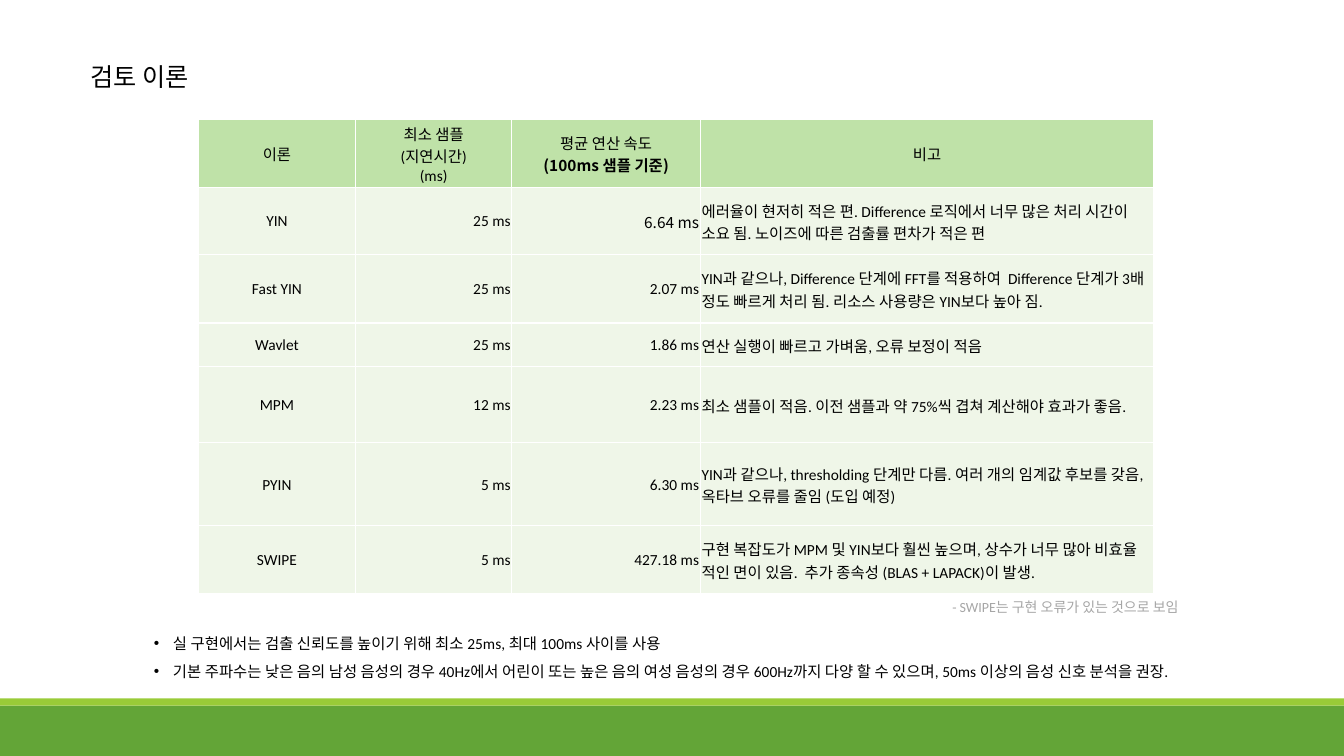
from dataclasses import dataclass
from lxml import etree
from pptx import Presentation
from pptx.dml.color import RGBColor
from pptx.enum.shapes import MSO_SHAPE
from pptx.enum.text import MSO_ANCHOR, MSO_AUTO_SIZE, PP_ALIGN
from pptx.oxml.ns import qn
from pptx.util import Cm, Pt

RECT = MSO_SHAPE.RECTANGLE
MIDDLE, TOP = MSO_ANCHOR.MIDDLE, MSO_ANCHOR.TOP
LEFT, MID, RIGHT = PP_ALIGN.LEFT, PP_ALIGN.CENTER, PP_ALIGN.RIGHT
NO_FIT = MSO_AUTO_SIZE.NONE


@dataclass(frozen=True)
class Theme:
    font: str = "Calibri"
    alt: str = "Noto Sans CJK KR"
    ink: str = "000000"
    pale: str = "A6A6A6"
    white: str = "FFFFFF"
    head: str = "BFE2A8"
    cell: str = "EFF6E8"
    band: str = "63A537"
    strip: str = "99CB38"
    title: int = 18
    body: int = 11
    small: int = 10


THEME = Theme()
COLS = (3.96, 3.94, 4.75, 11.43)
ROWS = (1.73, 1.68, 1.73, 1.09, 1.93, 2.08, 1.73)
ALIGNS = (MID, RIGHT, RIGHT, LEFT)
HEADS = ("이론", "최소 샘플\v(지연시간)\v(ms)", "평균 연산 속도\n(100ms 샘플 기준)", "비고")
DATA = (
    ("YIN", "25 ms", "6.64 ms",
     "에러율이 현저히 적은 편. Difference 로직에서 너무 많은 처리 시간이 소요 됨. "
     "노이즈에 따른 검출률 편차가 적은 편"),
    ("Fast YIN", "25 ms", "2.07 ms",
     "YIN과 같으나, Difference 단계에 FFT를 적용하여  Difference 단계가 3배 정도 "
     "빠르게 처리 됨. 리소스 사용량은 YIN보다 높아 짐."),
    ("Wavlet", "25 ms", "1.86 ms", "연산 실행이 빠르고 가벼움, 오류 보정이 적음"),
    ("MPM", "12 ms", "2.23 ms",
     "최소 샘플이 적음. 이전 샘플과 약 75%씩 겹쳐 계산해야 효과가 좋음."),
    ("PYIN", "5 ms", "6.30 ms",
     "YIN과 같으나, thresholding 단계만 다름. 여러 개의 임계값 후보를 갖음, "
     "옥타브 오류를 줄임 (도입 예정)"),
    ("SWIPE", "5 ms", "427.18 ms",
     "구현 복잡도가 MPM 및 YIN보다 훨씬 높으며, 상수가 너무 많아 비효율 적인 면이 "
     "있음.  추가 종속성 (BLAS + LAPACK)이 발생."),
)
NOTES = (
    "실 구현에서는 검출 신뢰도를 높이기 위해 최소 25ms, 최대 100ms 사이를 사용\n"
    "기본 주파수는 낮은 음의 남성 음성의 경우 40Hz에서 어린이 또는 높은 음의 여성 "
    "음성의 경우 600Hz까지 다양 할 수 있으며, 50ms 이상의 음성 신호 분석을 권장."
)


def style(para, size, color=THEME.ink, align=LEFT):
    para.alignment = align
    font = para.font
    font.name, font.size, font.bold = THEME.font, Pt(size), False
    font.color.rgb = RGBColor.from_string(color)


def write(shape, text, size, color=THEME.ink):
    frame = shape.text_frame
    frame.text = text
    frame.word_wrap = False
    frame.auto_size = NO_FIT
    frame.vertical_anchor = TOP
    for para in frame.paragraphs:
        style(para, size, color)
    return frame


def add_title(slide, x, y, w, h):
    title = slide.shapes.title
    title.left, title.top, title.width, title.height = Cm(x), Cm(y), Cm(w), Cm(h)
    write(title, "검토 이론", THEME.title)


def add_foot(slide, x, y, w, h):
    strip = 0.18
    parts = ((y + strip, h - strip, THEME.band), (y, strip, THEME.strip))
    for top, high, color in parts:
        bar = slide.shapes.add_shape(RECT, Cm(x), Cm(top), Cm(w), Cm(high))
        bar.shadow.inherit = False
        bar.fill.solid()
        bar.fill.fore_color.rgb = RGBColor.from_string(color)
        bar.line.fill.background()


def add_edges(cell):
    props = cell._tc.get_or_add_tcPr()
    for side in ("lnL", "lnR", "lnT", "lnB"):
        line = etree.SubElement(props, qn("a:" + side), w=str(Pt(1)))
        fill = etree.SubElement(line, qn("a:solidFill"))
        etree.SubElement(fill, qn("a:srgbClr"), val=THEME.white)


def fill_cell(cell, text, align, color):
    add_edges(cell)
    cell.fill.solid()
    cell.fill.fore_color.rgb = RGBColor.from_string(color)
    cell.margin_left = cell.margin_right = cell.margin_top = Cm(0.03)
    cell.margin_bottom = 0
    cell.vertical_anchor = MIDDLE
    cell.text_frame.text = text
    for para in cell.text_frame.paragraphs:
        style(para, THEME.body, align=align)


def add_grid(slide, x, y):
    frame = slide.shapes.add_table(
        len(ROWS), len(COLS), Cm(x), Cm(y), Cm(sum(COLS)), Cm(sum(ROWS)))
    table = frame.table
    table.horz_banding = False
    for col, wide in zip(table.columns, COLS):
        col.width = Cm(wide)
    for row, high in zip(table.rows, ROWS):
        row.height = Cm(high)
    for r, texts in enumerate((HEADS,) + DATA):
        for c, text in enumerate(texts):
            align = ALIGNS[c] if r else MID
            fill_cell(table.cell(r, c), text, align, THEME.cell if r else THEME.head)
    basis = table.cell(0, 2).text_frame.paragraphs[1].font
    basis.name, basis.bold = THEME.alt, True
    table.cell(1, 2).text_frame.paragraphs[0].font.name = THEME.alt


def add_remark(slide, x, y, w, h):
    box = slide.shapes.add_textbox(Cm(x), Cm(y), Cm(w), Cm(h))
    write(box, "- SWIPE는 구현 오류가 있는 것으로 보임", THEME.small, THEME.pale)


def add_notes(slide, x, y, w, h):
    box = slide.shapes.add_textbox(Cm(x), Cm(y), Cm(w), Cm(h))
    for para in write(box, NOTES, THEME.body).paragraphs:
        para.line_spacing = 1.5
        props = para._p.get_or_add_pPr()
        props.set("marL", str(Cm(0.48)))
        props.set("indent", str(-Cm(0.48)))
        face = etree.Element(qn("a:buFont"), typeface="Arial")
        dot = etree.Element(qn("a:buChar"), char="•")
        props.find(qn("a:lnSpc")).addnext(face)
        face.addnext(dot)


def main():
    deck = Presentation()
    deck.slide_width, deck.slide_height = Cm(33.87), Cm(19.05)
    slide = deck.slides.add_slide(deck.slide_layouts[5])
    add_foot(slide, 0, 17.6, 33.87, 1.45)
    add_title(slide, 2.03, 1.42, 3.23, 1.02)
    add_grid(slide, 5, 3)
    add_notes(slide, 3.63, 15.62, 28.02, 1.6)
    add_remark(slide, 23.75, 14.96, 6.65, 0.69)
    deck.save("out.pptx")


if __name__ == "__main__":
    main()
